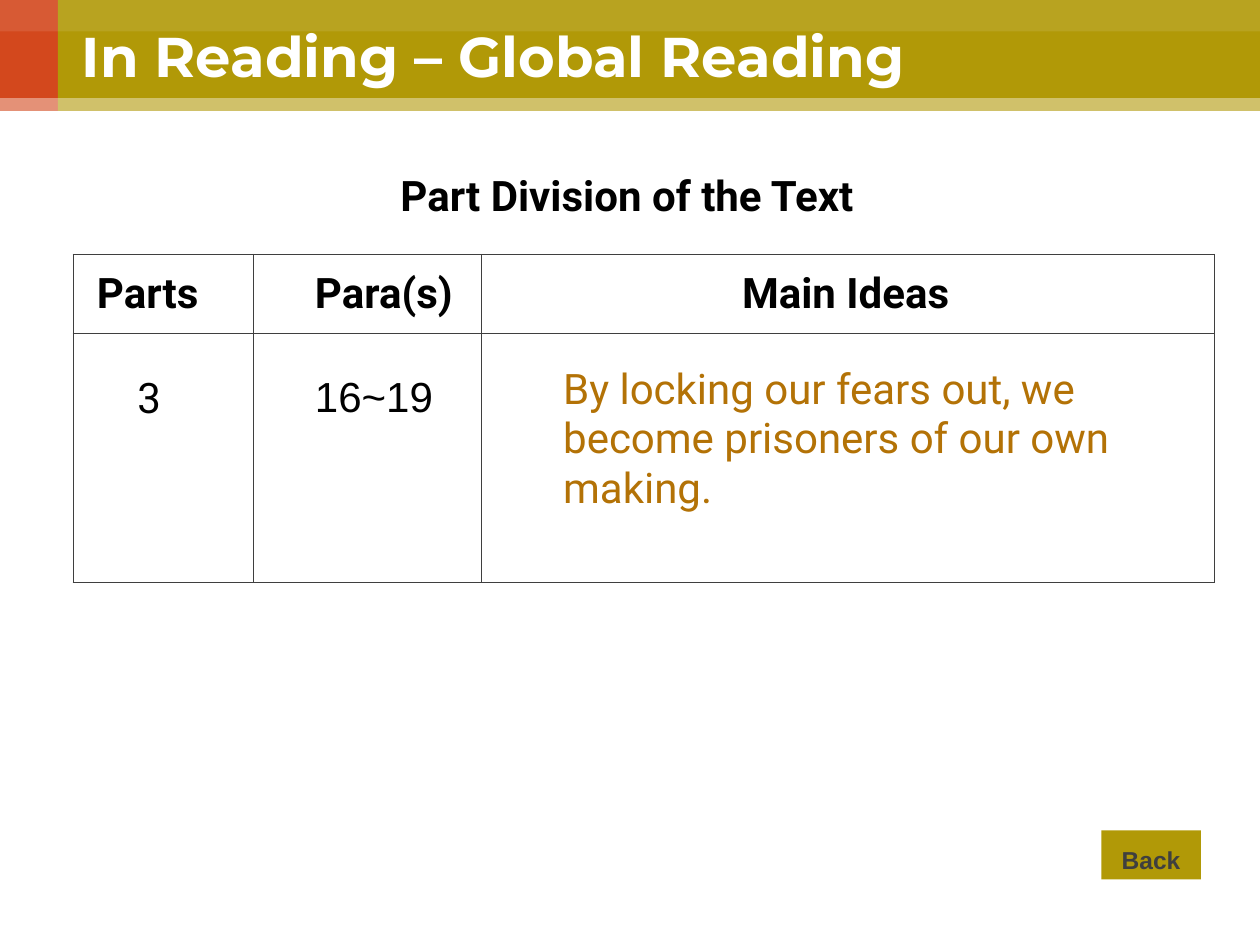
from lxml.etree import SubElement
from pptx import Presentation
from pptx.dml.color import RGBColor
from pptx.enum.shapes import MSO_SHAPE
from pptx.enum.text import MSO_ANCHOR, PP_ALIGN
from pptx.oxml.ns import qn
from pptx.util import Inches, Pt

COLORS = {"white": "FFFFFF", "red": "D3481D", "olive": "B19907",
          "ink": "000000", "rule": "3F3F3F", "idea": "B37206"}


def rgb(name):
    return RGBColor.from_string(COLORS[name])


def style(p, text, size, color, font="Roboto", bold=False, align=PP_ALIGN.LEFT):
    p.text = text
    p.alignment = align
    f = p.font
    f.size, f.name, f.bold = Pt(size), font, bold
    f.color.rgb = rgb(color)


def add_rect(s, left, top, width, height, color, opacity=100):
    sp = s.shapes.add_shape(MSO_SHAPE.RECTANGLE, Inches(left), Inches(top),
                            Inches(width), Inches(height))
    sp.shadow.inherit = False
    sp.line.fill.background()
    sp.fill.solid()
    sp.fill.fore_color.rgb = rgb(color)
    if opacity < 100:
        clr = sp.fill._xPr.find(qn("a:solidFill"))[0]
        SubElement(clr, qn("a:alpha"), val=str(opacity * 1000))
    return sp


def add_text(s, left, top, width, height, text, size, color, wrap=True, **kw):
    tf = s.shapes.add_textbox(Inches(left), Inches(top),
                              Inches(width), Inches(height)).text_frame
    tf.word_wrap = wrap
    tf.vertical_anchor = MSO_ANCHOR.MIDDLE
    p = tf.paragraphs[0]
    style(p, text, size, color, **kw)
    return p


def add_header(s, left, top, width, height):
    tab = 0.46
    add_rect(s, left, top, tab, height, "red")
    add_rect(s, left + tab, top, width - tab, height, "olive")
    add_rect(s, left, top + height - 0.1, width, 0.24, "white", 40)
    add_rect(s, left, top, width, 0.25, "white", 10)
    p = add_text(s, left + 0.55, top + 0.1, 8.97, 0.74, "In Reading – Global Reading",
                 32, "white", font="Montserrat", bold=True)
    p.line_spacing = 0.9


def add_borders(cell):
    """Outline a cell; call before filling, as the schema puts lines first."""
    tc_pr = cell._tc.get_or_add_tcPr()
    for side in ("lnL", "lnR", "lnT", "lnB"):
        ln = SubElement(tc_pr, qn(f"a:{side}"), w=str(Pt(0.75)))
        fill = SubElement(ln, qn("a:solidFill"))
        SubElement(fill, qn("a:srgbClr"), val=COLORS["rule"])


def add_parts_table(s, left, top, width, height):
    # text, left margin, top margin, font options
    header = [("Parts", 0.19, 0, {}), ("Para(s)", 0.49, 0, {}),
              ("Main Ideas", 2.07, 0, {})]
    body = [("3", 0.51, 0.32, {}),
            ("16~19", 0.49, 0.32, {"font": "Arial"}),
            ("By locking our fears out, we become prisoners of our own making.",
             0.65, 0.25, {"color": "idea"})]
    table = s.shapes.add_table(2, 3, Inches(left), Inches(top),
                               Inches(width), Inches(height)).table
    for col, w in zip(table.columns, (1.43, 1.81, width - 3.24)):
        col.width = Inches(w)
    for row, h in zip(table.rows, (0.63, height - 0.63)):
        row.height = Inches(h)
    for i, row in enumerate((header, body)):
        for j, (text, margin_left, margin_top, options) in enumerate(row):
            cell = table.cell(i, j)
            add_borders(cell)
            cell.fill.background()
            cell.vertical_anchor = MSO_ANCHOR.TOP if i else MSO_ANCHOR.MIDDLE
            cell.margin_left, cell.margin_top = Inches(margin_left), Inches(margin_top)
            cell.margin_right = Inches(0.49 if j == 2 else 0.1)
            cell.margin_bottom = 0
            style(cell.text_frame.paragraphs[0], text, 24,
                  **{"color": "ink", "bold": i == 0, **options})


def add_back_button(s, left, top, width, height):
    sp = add_rect(s, left, top, width, height, "olive")
    tf = sp.text_frame
    tf.vertical_anchor = MSO_ANCHOR.TOP
    p = tf.paragraphs[0]
    style(p, "Back", 14, "rule", font="Arial", bold=True, align=PP_ALIGN.CENTER)
    p.line_spacing = 1.3


def main():
    prs = Presentation()
    prs.slide_width, prs.slide_height = Inches(10), Inches(7.5)
    s = prs.slides.add_slide(prs.slide_layouts[6])
    add_header(s, 0, 0, 10, 0.88)
    add_text(s, 3.08, 1.23, 4.13, 0.63, "Part Division of the Text", 24, "ink",
             wrap=False, bold=True)
    add_parts_table(s, 0.58, 2.02, 9.06, 2.6)
    add_back_button(s, 8.74, 6.59, 0.79, 0.39)
    prs.save("out.pptx")


if __name__ == "__main__":
    main()
